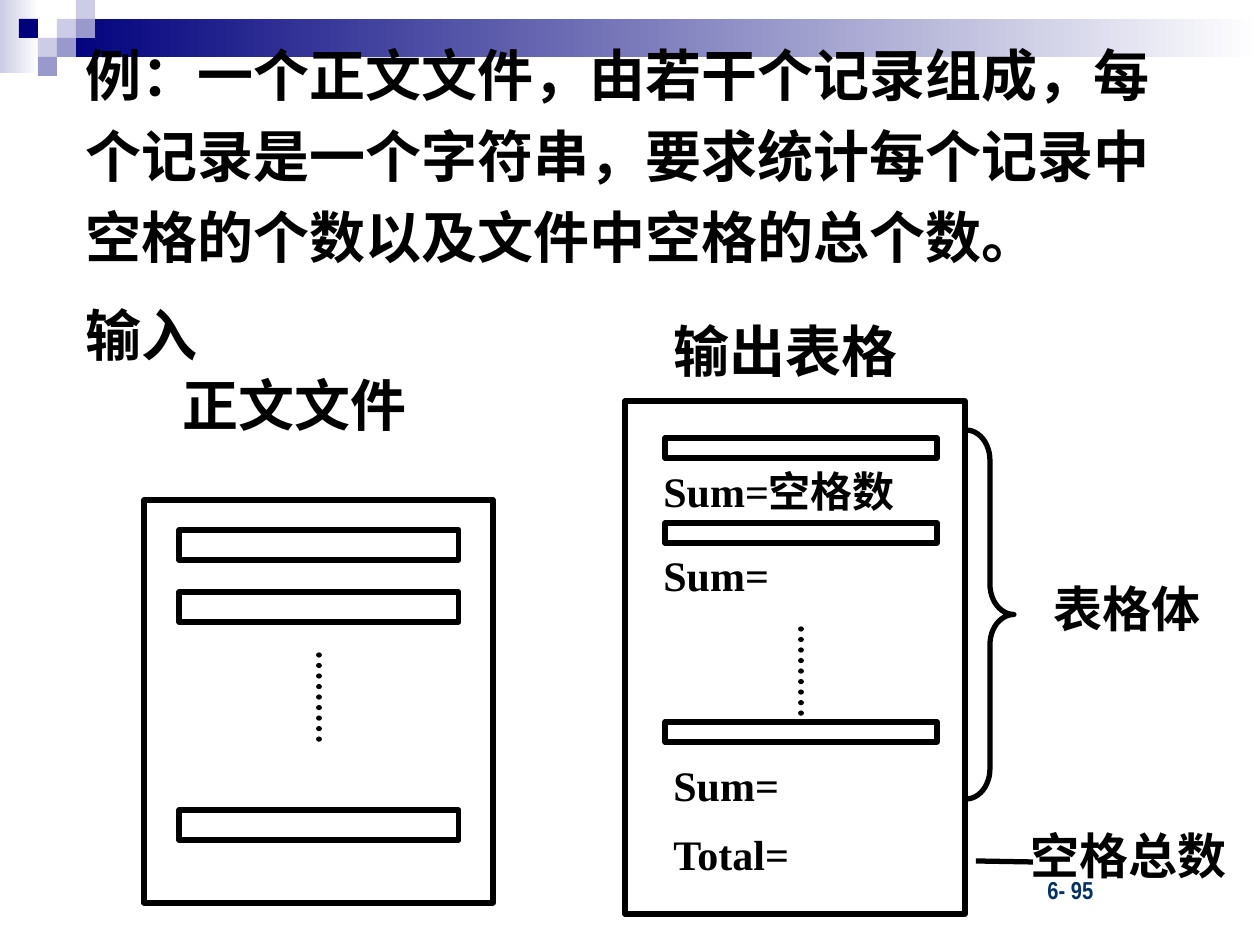
from lxml.etree import SubElement
from pptx import Presentation
from pptx.dml.color import RGBColor
from pptx.enum.dml import MSO_LINE_DASH_STYLE as Dash
from pptx.enum.shapes import MSO_CONNECTOR as Connector, MSO_SHAPE as Shape
from pptx.enum.text import MSO_ANCHOR as Anchor, PP_ALIGN as Align
from pptx.oxml.ns import qn
from pptx.util import Emu, Pt

PX = 914400 / 126
BLACK, NAVY, MID, LIGHT, WHITE = "000000", "00007D", "9999CC", "CCCCE6", "FFFFFF"
SERIF, SANS, CJK = "Times New Roman", "Arial", "Noto Sans CJK SC"


def px(value):
    return Emu(round(value * PX))


def color(value):
    return RGBColor.from_string(value)


def format_text(box, size, font, ink=BLACK, anchor=Anchor.TOP):
    frame = box.text_frame
    frame.word_wrap = True
    frame.vertical_anchor = anchor
    for para in frame.paragraphs:
        para.alignment = Align.LEFT
        for span in para.runs:
            span.font.size = Pt(size)
            span.font.bold = True
            span.font.name = font
            span.font.color.rgb = color(ink)
            east = SubElement(span.font._element, qn("a:ea"))
            east.set("typeface", CJK)


def add_text(page, text, left, top, width, height, size, font, **style):
    box = page.shapes.add_textbox(px(left), px(top), px(width), px(height))
    box.text_frame.text = text
    format_text(box, size, font, **style)
    return box


def add_block(page, left, top, width, height, fill, fade=False):
    block = page.shapes.add_shape(Shape.RECTANGLE, px(left), px(top), px(width), px(height))
    block.shadow.inherit = False
    block.line.fill.background()
    if fade:
        block.fill.gradient()
        block.fill.gradient_angle = 0
        for stop, shade in zip(block.fill.gradient_stops, (fill, WHITE)):
            stop.color.rgb = color(shade)
    else:
        block.fill.solid()
        block.fill.fore_color.rgb = color(fill)


def add_outline(page, left, top, width, height, kind=Shape.RECTANGLE):
    outline = page.shapes.add_shape(kind, px(left), px(top), px(width), px(height))
    outline.shadow.inherit = False
    outline.fill.background()
    outline.line.color.rgb = color(BLACK)
    outline.line.width = Pt(3)
    return outline


def add_line(page, x1, y1, x2, y2, dotted=False):
    line = page.shapes.add_connector(Connector.STRAIGHT, px(x1), px(y1), px(x2), px(y2))
    line.line.color.rgb = color(BLACK)
    line.line.width = Pt(3)
    if dotted:
        line.line.dash_style = Dash.ROUND_DOT
        line.line._ln.set("cap", "rnd")
    SubElement(line._element.spPr, qn("a:effectLst"))


def add_header(page, width, unit):
    add_block(page, 0, 0, 39, 73, LIGHT, fade=True)
    add_block(page, 3 * unit, unit, width - 3 * unit, 2 * unit, NAVY, fade=True)
    squares = [(3, 1, LIGHT), (4, 0, LIGHT), (4, 1, MID), (2, 2, LIGHT),
               (1, 1, NAVY), (3, 2, MID), (2, 3, MID)]
    for column, row, fill in squares:
        add_block(page, column * unit, row * unit, unit, unit, fill)


def place_title(page, left, top, width, height):
    title = page.shapes.title
    title.left, title.top, title.width, title.height = map(px, (left, top, width, height))
    title.text_frame.text = ("例：一个正文文件，由若干个记录组成，每个记录是一个字符串，"
                             "要求统计每个记录中空格的个数以及文件中空格的总个数。")
    title.text_frame.paragraphs[0].line_spacing = 1.2
    format_text(title, 32, CJK, anchor=Anchor.MIDDLE)
    page.shapes._spTree.append(title._element)


def add_sheet(page, left, top, width, height, bar, bar_tops, dots):
    add_outline(page, left, top, width, height)
    inset, bar_width, bar_height = bar
    for bar_top in bar_tops:
        add_outline(page, left + inset, top + bar_top, bar_width, bar_height)
    middle = left + inset + bar_width // 2
    add_line(page, middle, top + dots[0], middle, top + dots[1], dotted=True)


def add_input(page, left, top):
    add_text(page, "输入", left, top, 186, 81, 32, SANS, anchor=Anchor.MIDDLE)
    add_text(page, "正文文件", left + 97, top + 70, 260, 81, 32, SANS)
    add_sheet(page, left + 71, top + 206, 349, 403, (35, 280, 30), (30, 92, 310), (155, 247))


def add_output(page, left, top):
    add_text(page, "输出表格", left + 36, top, 265, 81, 32, SANS, anchor=Anchor.MIDDLE)
    add_sheet(page, left, top + 91, 340, 513, (40, 272, 20), (37, 122, 321), (228, 313))
    add_text(page, "Sum=空格数", left + 26, top + 149, 273, 86, 24, SERIF)
    add_text(page, "Sum=", left + 26, top + 233, 262, 86, 24, SERIF)
    totals = add_text(page, "Sum=\nTotal=", left + 36, top + 443, 252, 118, 24, SERIF)
    totals.text_frame.paragraphs[1].space_before = Pt(11)
    brace = add_outline(page, left + 341, top + 120, 48, 369, Shape.RIGHT_BRACE)
    brace.adjustments[0] = 0.63
    add_text(page, "表格体", left + 416, top + 262, 188, 86, 28, SERIF)
    add_line(page, left + 351, top + 551, left + 408, top + 552)
    add_text(page, "空格总数", left + 393, top + 509, 229, 86, 28, SERIF)


def main():
    deck = Presentation()
    deck.slide_width, deck.slide_height = px(1260), px(945)
    page = deck.slides.add_slide(deck.slide_layouts[5])
    add_header(page, 1260, 19)
    add_text(page, "6- 95", 1035, 869, 144, 42, 14, "Arial Narrow", ink="003162")
    place_title(page, 73, 21, 1131, 255)
    add_input(page, 73, 294)
    add_output(page, 625, 310)
    deck.save("out.pptx")


if __name__ == "__main__":
    main()
